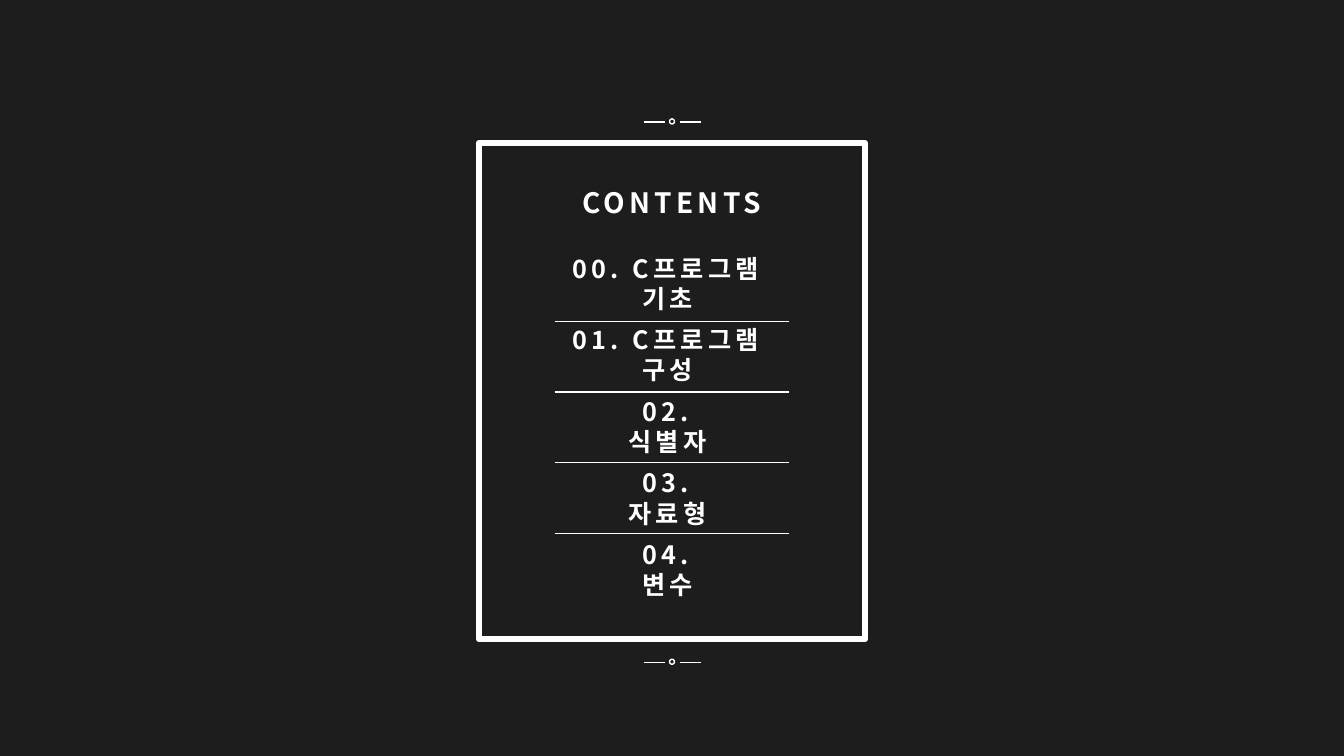
import pptx
import pptx.dml.color
import pptx.enum.shapes
import pptx.enum.text
import pptx.oxml.ns
import pptx.util
from lxml import etree
from pptx.util import Inches

FONT = "Noto Sans CJK KR"
WHITE = "FFFFFF"
BACKGROUND = "1D1D1D"
CENTER = 6.67
ITEM_CENTER = 6.62
ITEMS = [
    ("00. C프로그램 기초", 2.67),
    ("01. C프로그램 구성", 2.67),
    ("02. 식별자", 1.58),
    ("03. 자료형", 1.58),
    ("04. 변수", 1.32),
]


def color(hex_string):
    """Turn a hex string into a colour."""
    return pptx.dml.color.RGBColor.from_string(hex_string)


def set_attributes(target, values):
    """Set each named attribute of the target."""
    for name, value in values.items():
        setattr(target, name, value)


def add_outline(slide, kind, left, top, width, height, weight):
    """Add an unfilled white outlined shape."""
    shape = slide.shapes.add_shape(kind, Inches(left), Inches(top), Inches(width), Inches(height))
    shape.shadow.inherit = False
    shape.fill.background()
    shape.line.color.rgb = color(WHITE)
    shape.line.width = pptx.util.Pt(weight)


def add_rule(slide, start, end, y):
    """Add a thin white horizontal line."""
    connector = slide.shapes.add_connector(
        pptx.enum.shapes.MSO_CONNECTOR.STRAIGHT, Inches(start), Inches(y), Inches(end), Inches(y))
    connector.line.color.rgb = color(WHITE)
    connector.line.width = pptx.util.Pt(1)
    properties = connector._element.spPr
    etree.SubElement(properties, pptx.oxml.ns.qn("a:effectLst"))


def add_ornament(slide, y):
    """Add a small ring between two short lines."""
    add_outline(slide, pptx.enum.shapes.MSO_SHAPE.OVAL, CENTER - 0.03, y - 0.03, 0.05, 0.05, 1)
    add_rule(slide, CENTER - 0.28, CENTER - 0.07, y)
    add_rule(slide, CENTER + 0.07, CENTER + 0.28, y)


def write_text(shape, text, size, wrap, inset):
    """Fill a shape with one centred, widely spaced bold line of text."""
    frame = shape.text_frame
    set_attributes(frame, {
        "text": text,
        "word_wrap": wrap,
        "auto_size": pptx.enum.text.MSO_AUTO_SIZE.SHAPE_TO_FIT_TEXT,
        "vertical_anchor": pptx.enum.text.MSO_ANCHOR.MIDDLE,
        "margin_left": Inches(inset),
        "margin_right": Inches(inset),
    })
    paragraph = frame.paragraphs[0]
    paragraph.alignment = pptx.enum.text.PP_ALIGN.CENTER
    run = paragraph.runs[0]
    set_attributes(run.font, {"name": FONT, "size": pptx.util.Pt(size), "bold": True})
    run.font.color.rgb = color(WHITE)
    properties = run._r.get_or_add_rPr()
    properties.set("spc", "300")
    etree.SubElement(properties, pptx.oxml.ns.qn("a:ea"), typeface=FONT)


def add_item(slide, text, width, top):
    """Add one entry of the contents list."""
    box = slide.shapes.add_textbox(
        Inches(ITEM_CENTER - width / 2), Inches(top), Inches(width), Inches(0.4))
    write_text(box, text, 18, True, 0.15)


def main():
    """Build and save the contents slide."""
    presentation = pptx.Presentation()
    set_attributes(presentation, {"slide_width": Inches(13.33), "slide_height": Inches(7.5)})
    slide = presentation.slides.add_slide(presentation.slide_layouts[5])
    slide.background.fill.solid()
    slide.background.fill.fore_color.rgb = color(BACKGROUND)

    add_outline(slide, pptx.enum.shapes.MSO_SHAPE.RECTANGLE, 4.75, 1.42, 3.83, 4.92, 4.5)
    for y in (1.21, 6.57):
        add_ornament(slide, y)

    title = slide.shapes.title
    set_attributes(title, {
        "left": Inches(5.66), "top": Inches(1.79), "width": Inches(2.01), "height": Inches(0.44)})
    write_text(title, "CONTENTS", 20, False, 0.1)

    for index in range(len(ITEMS) - 1):
        add_rule(slide, 5.5, 7.83, 3.19 + 0.7 * index)
    for index, (text, width) in enumerate(ITEMS):
        add_item(slide, text, width, 2.61 + 0.71 * index)

    presentation.save("out.pptx")


if __name__ == "__main__":
    main()
